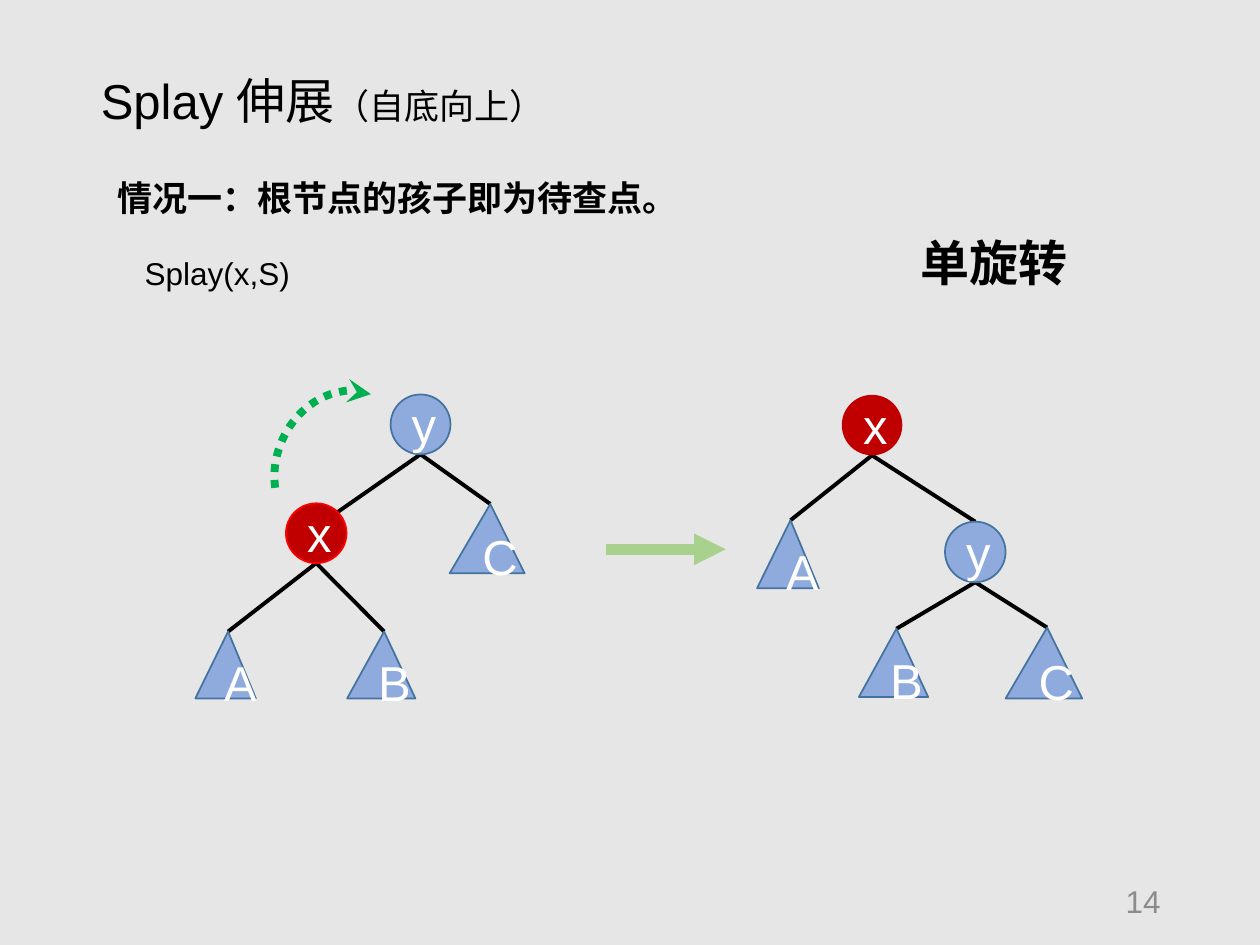
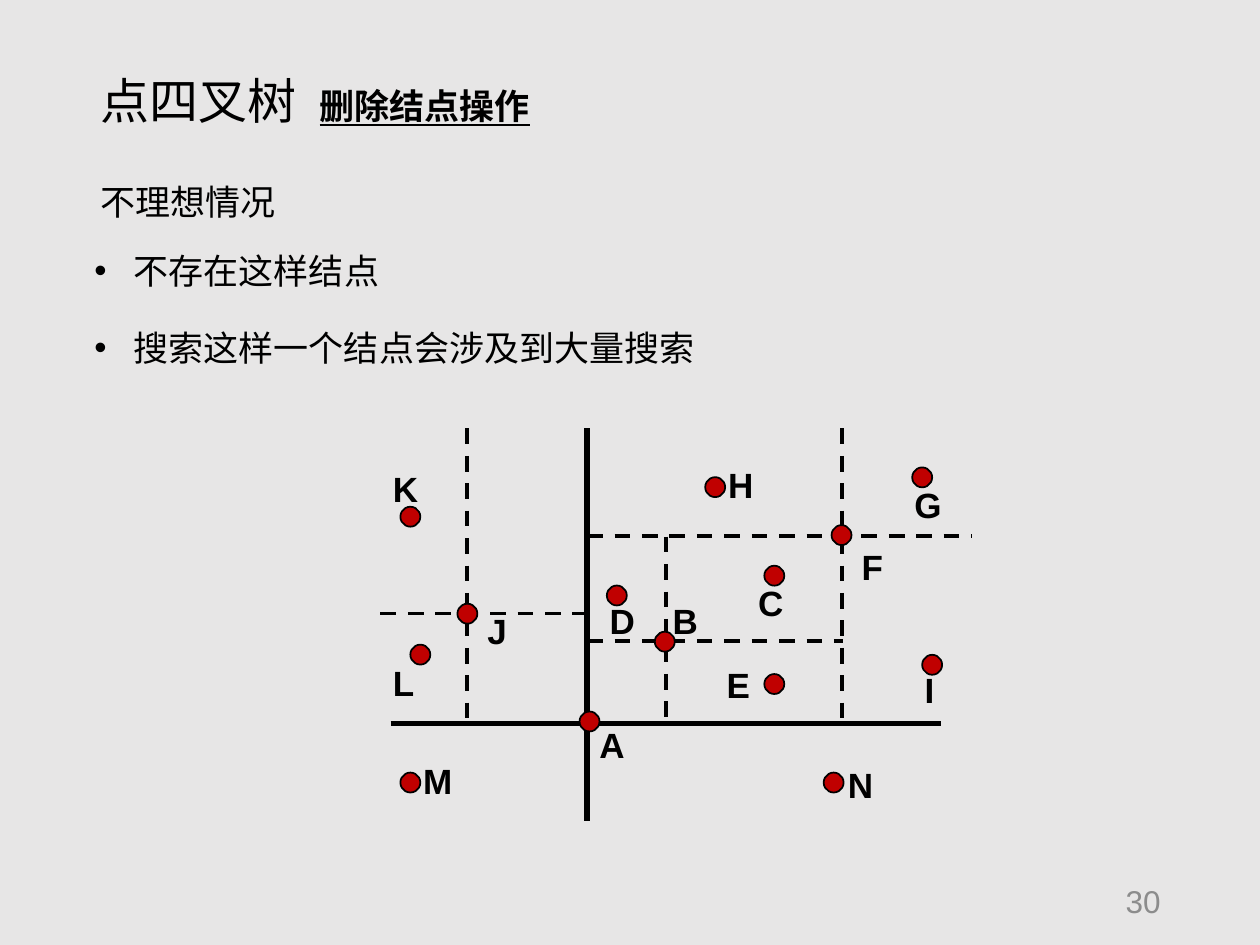
from lxml.etree import SubElement
from pptx import Presentation
from pptx.dml.color import RGBColor
from pptx.enum.dml import MSO_LINE
from pptx.enum.shapes import MSO_CONNECTOR, MSO_SHAPE
from pptx.enum.text import MSO_ANCHOR, MSO_AUTO_SIZE, PP_ALIGN
from pptx.oxml.ns import qn
from pptx.util import Pt

BACKGROUND = RGBColor(0xE7, 0xE6, 0xE6)
BLACK = RGBColor(0, 0, 0)
WHITE = RGBColor(0xFF, 0xFF, 0xFF)
GRAY = RGBColor(0x8C, 0x8C, 0x8C)
BLUE = RGBColor(0x8F, 0xAA, 0xDC)
BLUE_EDGE = RGBColor(0x43, 0x73, 0x9E)
DARK_RED = RGBColor(0xC0, 0, 0)
RED = RGBColor(0xFF, 0, 0)
GREEN = RGBColor(0, 0xB0, 0x50)
LIGHT_GREEN = RGBColor(0xA9, 0xD1, 0x8E)
FONT = "Arial"
APEX = 0.542


def add_text(shapes, text, left, top, width, height, size=20, bold=False, color=BLACK, wrap=True):
    box = shapes.add_textbox(Pt(left), Pt(top), Pt(width), Pt(height))
    box.text_frame.word_wrap = wrap
    run = box.text_frame.paragraphs[0].add_run()
    run.text = text
    run.font.name = FONT
    run.font.size = Pt(size)
    run.font.bold = bold
    run.font.color.rgb = color
    return box


def add_line(shapes, x1, y1, x2, y2, weight=2.25, color=BLACK, dash=None):
    line = shapes.add_connector(MSO_CONNECTOR.STRAIGHT, Pt(x1), Pt(y1), Pt(x2), Pt(y2))
    line.line.color.rgb = color
    line.line.width = Pt(weight)
    if dash:
        line.line.dash_style = dash
    SubElement(line._element.spPr, qn("a:effectLst"))
    return line


presentation = Presentation()
presentation.slide_width = Pt(720)
presentation.slide_height = Pt(540)
background = presentation.slide_master.background.fill
background.solid()
background.fore_color.rgb = BACKGROUND

pages = [
    ("14", 641.5, [("Splay 伸展", 28, False, 0), ("（自底向上）", 20, False, 0)]),
    ("30", 266.4, [("点四叉树", 28, False, 0), (" ", 28, False, 7), ("删除结点操作", 20, True, 0)]),
]
slides = []
for number, title_width, title_runs in pages:
    slide = presentation.slides.add_slide(presentation.slide_layouts[5])
    title = slide.shapes.title
    title.left, title.top, title.width, title.height = Pt(50.4), Pt(36.7), Pt(title_width), Pt(41)
    title.text_frame.vertical_anchor = MSO_ANCHOR.TOP
    title.text_frame.auto_size = MSO_AUTO_SIZE.NONE
    title.text_frame.word_wrap = True
    paragraph = title.text_frame.paragraphs[0]
    paragraph.alignment = PP_ALIGN.LEFT
    for text, size, emphasis, spacing in title_runs:
        run = paragraph.add_run()
        run.text = text
        run.font.name = FONT
        run.font.size = Pt(size)
        run.font.bold = run.font.underline = emphasis
        run.font.color.rgb = BLACK
        if spacing:
            run._r.get_or_add_rPr().set("spc", str(spacing * 100))
    page_number = add_text(slide.shapes, number, 508.3, 500.4, 162, 28.8, size=18, color=GRAY)
    page_number.text_frame.vertical_anchor = MSO_ANCHOR.MIDDLE
    page_number.text_frame.paragraphs[0].alignment = PP_ALIGN.RIGHT
    slides.append(slide)
rotation_slide, quadtree_slide = slides

shapes = rotation_slide.shapes
add_text(shapes, "情况一：根节点的孩子即为待查点。", 59.8, 97.2, 380.2, 31.7, bold=True)
add_text(shapes, "Splay(x,S)", 75.6, 141.8, 98.6, 28.8, size=18, wrap=False)
add_text(shapes, "单旋转", 519.1, 129.6, 99.4, 41, size=28, bold=True, wrap=False)

tree_before = {
    "y": (223.2, 225.4, 34.2, 34.2, None),
    "x": (163.4, 287.6, 34.6, 34.2, "y"),
    "C": (257, 288, 42.8, 39.6, "y"),
    "A": (111.6, 360.9, 34.6, 38.2, "x"),
    "B": (198.4, 360.9, 39, 38.2, "x"),
}
tree_after = {
    "x": (481, 225.6, 34.6, 34.6, None),
    "A": (432.6, 297.3, 35.3, 38.9, "x"),
    "y": (540, 298.1, 34.6, 34.6, "x"),
    "B": (490.8, 359.3, 39.6, 39, "y"),
    "C": (574.6, 358.6, 43.8, 40.6, "y"),
}
for tree, x_edge in ((tree_before, RED), (tree_after, None)):
    group = rotation_slide.shapes.add_group_shape().shapes
    for name, (left, top, width, height, parent) in tree.items():
        if parent:
            parent_left, parent_top, parent_width, parent_height, _ = tree[parent]
            end_x = left + width * (APEX if name.isupper() else 0.5)
            end_y = top
            if name == "x":
                end_x, end_y = left + width * 0.85, top + height * 0.15
            add_line(group, parent_left + parent_width / 2, parent_top + parent_height, end_x, end_y)
    for name, (left, top, width, height, parent) in tree.items():
        kind = MSO_SHAPE.ISOSCELES_TRIANGLE if name.isupper() else MSO_SHAPE.OVAL
        node = group.add_shape(kind, Pt(left), Pt(top), Pt(width), Pt(height))
        if name.isupper():
            node.adjustments[0] = APEX
        node.shadow.inherit = False
        node.fill.solid()
        node.fill.fore_color.rgb = DARK_RED if name == "x" else BLUE
        edge = x_edge if name == "x" else BLUE_EDGE
        if edge:
            node.line.color.rgb = edge
            node.line.width = Pt(1)
        else:
            node.line.fill.background()
        paragraph = node.text_frame.paragraphs[0]
        paragraph.alignment = PP_ALIGN.CENTER
        run = paragraph.add_run()
        run.text = name
        run.font.name = FONT
        run.font.size = Pt(28)
        run.font.color.rgb = WHITE

rotation_arc = shapes.add_shape(MSO_SHAPE.ARC, Pt(151.2), Pt(229), Pt(89.3), Pt(75.6))
rotation_arc.adjustments[0] = 137.19
rotation_arc.adjustments[1] = 214.22
rotation_arc.rotation = 294.2
rotation_arc.shadow.inherit = False
rotation_arc.fill.background()
rotation_arc.line.color.rgb = GREEN
rotation_arc.line.width = Pt(4.5)
rotation_arc.line.dash_style = MSO_LINE.ROUND_DOT
step_arrow = add_line(shapes, 346.3, 313.9, 414.7, 313.9, weight=6, color=LIGHT_GREEN)
for arrow, head in ((rotation_arc, "stealth"), (step_arrow, "triangle")):
    SubElement(arrow._element.spPr.find(qn("a:ln")), qn("a:tailEnd"), type=head)

shapes = quadtree_slide.shapes
add_text(shapes, "不理想情况", 50.4, 99.4, 119.5, 31.7)
for text, top, width in (("不存在这样结点", 139, 380.2), ("搜索这样一个结点会涉及到大量搜索", 182.9, 401)):
    bullet = add_text(shapes, text, 46.8, top, width, 31.7)
    properties = bullet.text_frame.paragraphs[0]._p.get_or_add_pPr()
    properties.set("marL", str(Pt(22.5)))
    properties.set("indent", str(-Pt(22.5)))
    SubElement(properties, qn("a:buFont"), typeface=FONT)
    SubElement(properties, qn("a:buChar"), char="•")

diagram = shapes.add_group_shape().shapes
splits = [
    (481, 244.8, 481, 413.3),
    (335.5, 306.2, 555.1, 306.2),
    (335.5, 366.4, 481.7, 366.4),
    (380.7, 306.7, 380.7, 413.3),
    (217.4, 350.6, 335.5, 350.6),
    (267.1, 244.8, 267.1, 413.3),
]
for split in splits:
    add_line(diagram, *split, dash=MSO_LINE.DASH)
add_line(diagram, 223.2, 413.3, 537.8, 413.3, weight=3)
add_line(diagram, 335.5, 244.8, 335.5, 469.4, weight=3)

points = {
    "A": (331.2, 406.6, 335.5, 409.7),
    "B": (374.2, 361, 377.3, 339.1),
    "C": (436.8, 323.3, 426.2, 329),
    "D": (346.8, 334.6, 341.3, 339.1),
    "E": (436.8, 385.2, 408.2, 375.8),
    "F": (475.2, 300.1, 485.3, 308.2),
    "G": (521.3, 267.1, 515.5, 272.9),
    "H": (403, 272.7, 409, 261.4),
    "I": (527, 374.2, 521.3, 378.7),
    "J": (261.4, 345, 271.4, 344.9),
    "K": (228.8, 289.6, 217.4, 263.5),
    "L": (234.5, 368.4, 217.4, 374.4),
    "M": (228.8, 441.5, 234.7, 430.6),
    "N": (470.7, 441.5, 477.4, 432.7),
}
for name, (left, top, label_left, label_top) in points.items():
    dot = diagram.add_shape(MSO_SHAPE.OVAL, Pt(left), Pt(top), Pt(11.4), Pt(11.4))
    dot.shadow.inherit = False
    dot.fill.solid()
    dot.fill.fore_color.rgb = DARK_RED
    dot.line.color.rgb = BLACK
    dot.line.width = Pt(1)
    add_text(diagram, name, label_left, label_top, 33.8, 31.7, bold=True)

presentation.save("out.pptx")
